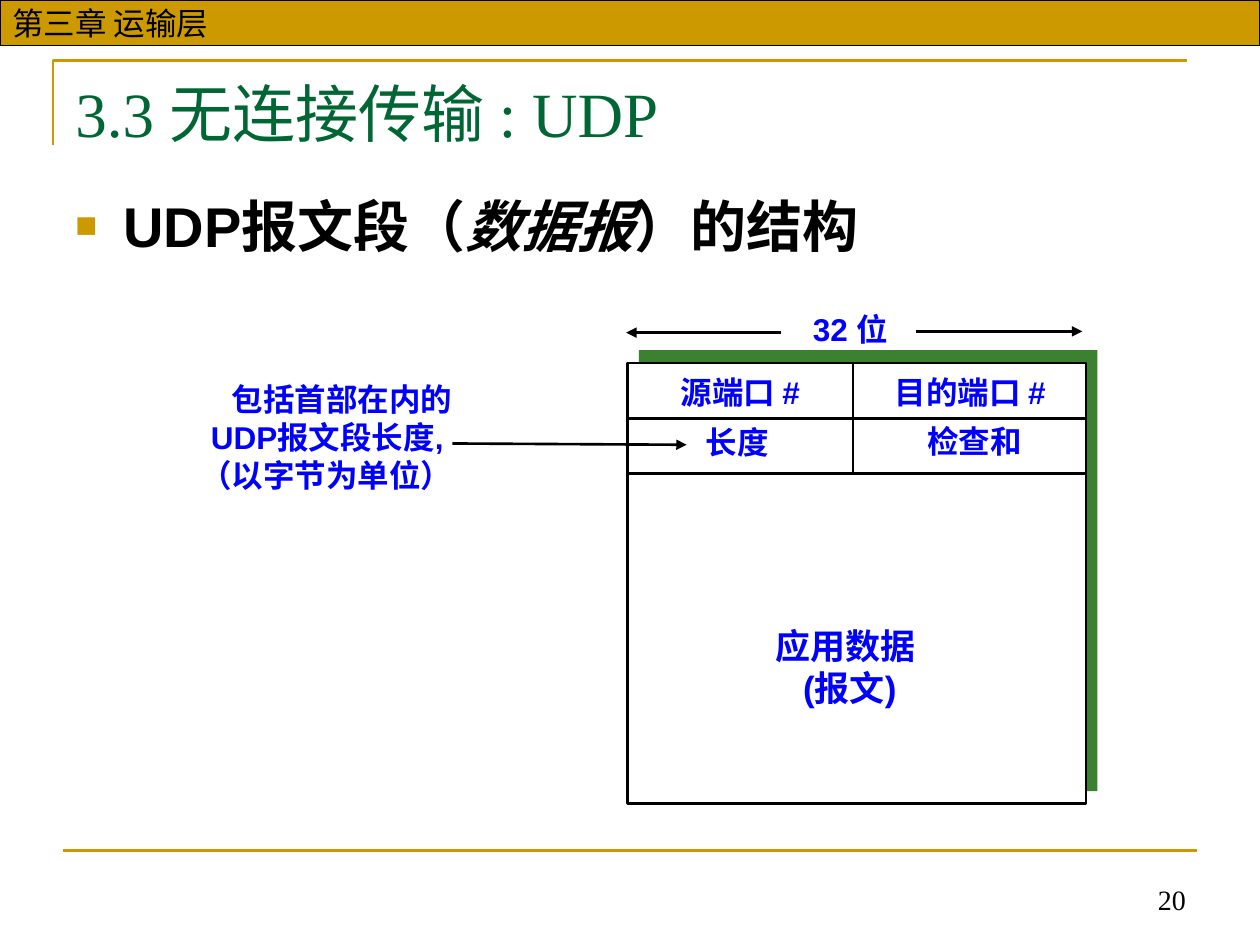
import pptx
import pptx.dml.color
import pptx.enum.shapes
import pptx.enum.text
import pptx.util
from lxml import etree
from pptx.oxml.ns import qn

Inches, Pt = pptx.util.Inches, pptx.util.Pt
ALIGN = pptx.enum.text.PP_ALIGN
ANCHOR = pptx.enum.text.MSO_ANCHOR
RECTANGLE = pptx.enum.shapes.MSO_SHAPE.RECTANGLE
STRAIGHT = pptx.enum.shapes.MSO_CONNECTOR.STRAIGHT

GOLD, GREEN, BLUE, BLACK, WHITE = "CC9900", "006633", "0000FF", "000000", "FFFFFF"
SHADE = "3B812F"
SERIF = "Times New Roman"

CHAPTER = "第三章 运输层"
TITLE = "3.3 无连接传输 : UDP"
HEADING = [("UDP报文段（", False), ("数据报", True), ("）的结构", False)]
PAGE_NUMBER = "20"

# lines of text, box, size, alignment
LABELS = [
    (["源端口 #"], (5.24, 2.91, 1.27, 0.4), 18, ALIGN.CENTER),
    (["目的端口 #"], (6.94, 2.91, 1.52, 0.4), 18, ALIGN.CENTER),
    (["长度"], (5.5, 3.31, 0.7, 0.4), 18, ALIGN.CENTER),
    (["检查和"], (7.26, 3.3, 0.95, 0.4), 18, ALIGN.CENTER),
    (["32 位"], (6.32, 2.41, 0.86, 0.4), 18, ALIGN.CENTER),
    (["应用数据 ", "(报文)"], (6.02, 4.91, 1.45, 0.77), 20, ALIGN.CENTER),
    (["包括首部在内的", "UDP报文段长度, ", "（以字节为单位）"],
     (1.46, 2.97, 2.23, 1), 18, ALIGN.RIGHT),
]

SEGMENT = (4.98, 2.88, 3.64, 3.5)
SEGMENT_SHADE = (5.07, 2.78, 3.64, 3.5)
ROW_HEIGHT = 0.44
COLUMN_X = 6.77
ARROWS = [
    ((7.27, 2.63), (8.59, 2.63)),
    ((6.2, 2.64), (4.97, 2.64)),
    ((3.59, 3.52), (5.45, 3.53)),
]


def rgb(value):
    return pptx.dml.color.RGBColor.from_string(value)


def add_box(slide, box, fill, line=None, width=1.5):
    shape = slide.shapes.add_shape(RECTANGLE, *map(Inches, box))
    shape.shadow.inherit = False
    shape.fill.solid()
    shape.fill.fore_color.rgb = rgb(fill)
    if line:
        shape.line.color.rgb = rgb(line)
        shape.line.width = Pt(width)
    else:
        shape.line.fill.background()
    return shape


def add_line(slide, start, end, color=BLACK, arrow=False):
    connector = slide.shapes.add_connector(STRAIGHT, *map(Inches, start + end))
    connector.line.color.rgb = rgb(color)
    connector.line.width = Pt(1.5)
    if arrow:
        etree.SubElement(connector.line._get_or_add_ln(), qn("a:tailEnd"), type="triangle")
    etree.SubElement(connector._element.spPr, qn("a:effectLst"))


def add_bullet(paragraph, indent):
    properties = paragraph._p.get_or_add_pPr()
    properties.set("marL", str(Inches(indent)))
    properties.set("indent", str(-Inches(indent)))
    color = etree.SubElement(properties, qn("a:buClr"))
    etree.SubElement(color, qn("a:srgbClr"), val=GOLD)
    etree.SubElement(properties, qn("a:buSzPct"), val="65000")
    etree.SubElement(properties, qn("a:buFont"), typeface="Arial")
    etree.SubElement(properties, qn("a:buChar"), char="■")


def write(shape, lines, size=18, font="Arial", color=BLACK, bold=False,
          align=ALIGN.LEFT, anchor=ANCHOR.TOP, wrap=True, bullet_indent=None):
    """Fill a shape with lines, each a string or a list of (text, italic) runs."""
    frame = shape.text_frame
    frame.word_wrap = wrap
    frame.vertical_anchor = anchor
    for index, line in enumerate(lines):
        paragraph = frame.paragraphs[0] if index == 0 else frame.add_paragraph()
        paragraph.alignment = align
        if bullet_indent:
            add_bullet(paragraph, bullet_indent)
        for text, italic in [(line, False)] if isinstance(line, str) else line:
            run = paragraph.add_run()
            run.text = text
            run.font.size = Pt(size)
            run.font.name = font
            run.font.bold = bold
            run.font.italic = italic
            run.font.color.rgb = rgb(color)


def add_text(slide, box, lines, **text_format):
    write(slide.shapes.add_textbox(*map(Inches, box)), lines, **text_format)


def add_frame(slide):
    builder = slide.shapes.build_freeform(Inches(0.42), Inches(1.15))
    corner = [(Inches(0.42), Inches(0.48)), (Inches(9.42), Inches(0.48))]
    builder.add_line_segments(corner, close=False)
    bracket = builder.convert_to_shape()
    bracket.shadow.inherit = False
    bracket.fill.background()
    bracket.line.color.rgb = rgb(GOLD)
    bracket.line.width = Pt(1.5)
    add_line(slide, (0.5, 6.75), (9.5, 6.75), color=GOLD)
    banner = add_box(slide, (0, 0, 10, 0.36), GOLD, BLACK, 0.75)
    write(banner, [CHAPTER], anchor=ANCHOR.MIDDLE)
    add_text(slide, (6.34, 6.82, 3.17, 0.5), [PAGE_NUMBER], size=16, font=SERIF,
             align=ALIGN.RIGHT, anchor=ANCHOR.BOTTOM)


def add_segment(slide):
    add_box(slide, SEGMENT_SHADE, SHADE)
    add_box(slide, SEGMENT, WHITE, BLACK)
    left, top, width, _ = SEGMENT
    for row in (1, 2):
        y = top + row * ROW_HEIGHT
        add_line(slide, (left, y), (left + width, y))
        add_line(slide, (COLUMN_X, y), (COLUMN_X, y - ROW_HEIGHT))
    for start, end in ARROWS:
        add_line(slide, start, end, arrow=True)
    for lines, box, size, align in LABELS:
        add_text(slide, box, lines, size=size, color=BLUE, bold=True,
                 align=align, wrap=False)


def main():
    presentation = pptx.Presentation()
    presentation.slide_width, presentation.slide_height = Inches(10), Inches(7.5)
    slide = presentation.slides.add_slide(presentation.slide_layouts[6])
    add_frame(slide)
    add_text(slide, (0.5, 0.54, 9, 0.77), [TITLE], size=36, font=SERIF, color=GREEN)
    add_text(slide, (0.5, 1.47, 9, 5.2), [HEADING], size=32, bold=True,
             bullet_indent=0.38)
    add_segment(slide)
    presentation.save("out.pptx")


if __name__ == "__main__":
    main()
